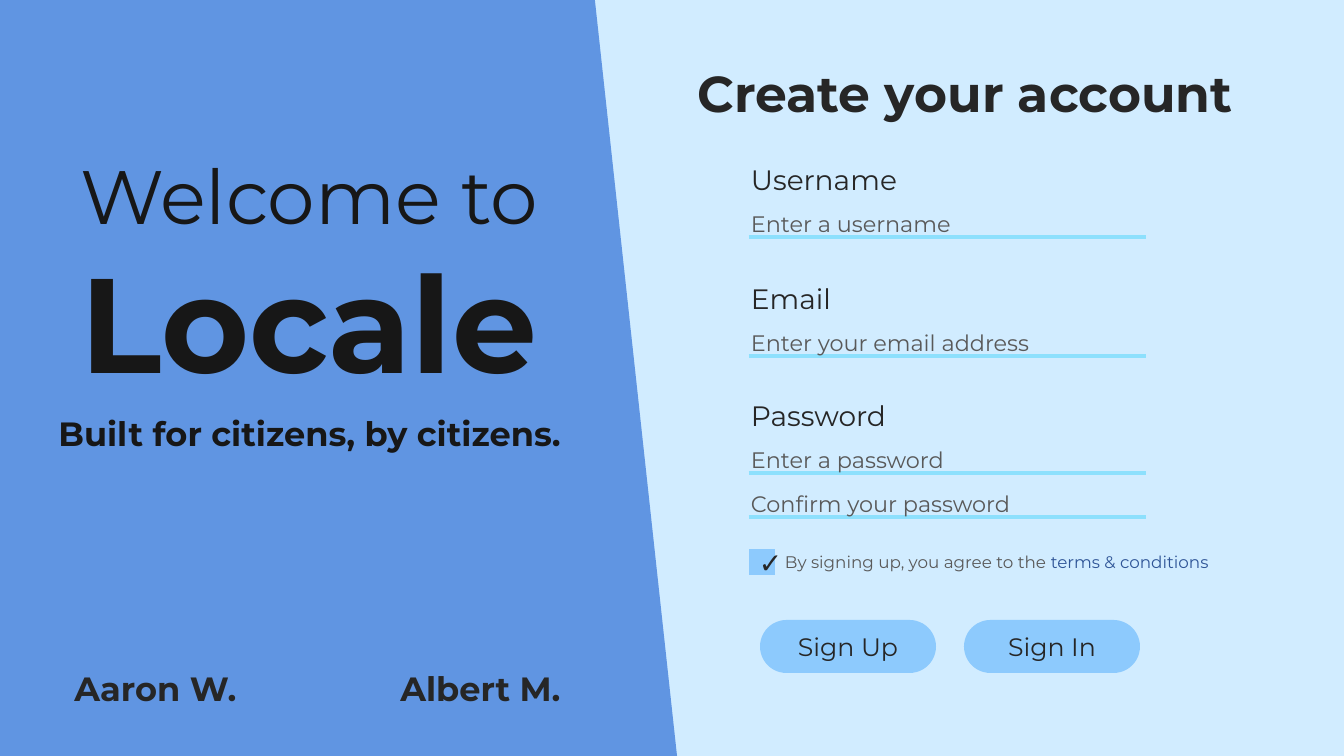
from pptx import Presentation
from pptx.dml.color import RGBColor as RGB
from pptx.enum.shapes import MSO_CONNECTOR as Conn, MSO_SHAPE as Kind
from pptx.enum.text import MSO_ANCHOR as Anchor, MSO_AUTO_SIZE as Auto, PP_ALIGN as Align
from pptx.oxml.ns import qn
from pptx.util import Pt
from lxml.etree import SubElement

PALE = RGB(0xD1, 0xEC, 0xFF)
BLUE = RGB(0x60, 0x95, 0xE2)
SKY = RGB(0x8D, 0xCA, 0xFD)
AQUA = RGB(0x8D, 0xE0, 0xFD)
BLACK = RGB(0x17, 0x17, 0x17)
DARK = RGB(0x26, 0x26, 0x26)
GRAY = RGB(0x59, 0x59, 0x59)
NAVY = RGB(0x2F, 0x55, 0x97)

SCALE = 914400 / 100.8


def px(*sizes):
    return [round(size * SCALE) for size in sizes]


class Page:
    """Holds the text style and the slide being built."""

    font = "Montserrat"

    def __init__(self, deck, back):
        self.slide = deck.slides.add_slide(deck.slide_layouts[6])
        fill = self.slide.background.fill
        fill.solid()
        fill.fore_color.rgb = back
        self.shapes = self.slide.shapes

    def letter(self, frame, runs, size, bold=False, align=Align.CENTER, font=None):
        """Fill the frame with one paragraph of (text, color) runs."""
        frame.word_wrap = True
        para = frame.paragraphs[0]
        para.alignment = align
        for text, color in runs:
            run = para.add_run()
            run.text = text
            run.font.name = font or self.font
            run.font.size = Pt(size)
            run.font.bold = bold
            run.font.color.rgb = color

    def text(self, box, runs, size, bold=False, align=Align.CENTER, anchor=Anchor.TOP):
        frame = self.shapes.add_textbox(*px(*box)).text_frame
        frame.auto_size = Auto.SHAPE_TO_FIT_TEXT
        frame.vertical_anchor = anchor
        self.letter(frame, runs, size, bold, align)

    def shape(self, kind, box, color):
        shape = self.shapes.add_shape(kind, *px(*box))
        shape.shadow.inherit = False
        shape.fill.solid()
        shape.fill.fore_color.rgb = color
        shape.line.fill.background()
        shape.text_frame.vertical_anchor = Anchor.MIDDLE
        return shape

    def rule(self, left, right, y):
        line = self.shapes.add_connector(Conn.STRAIGHT, *px(left, y, right, y))
        line.line.color.rgb = AQUA
        line.line.width = Pt(2.75)
        SubElement(line._element.spPr, qn("a:effectLst"))

    def entry(self, top, hint):
        """Add an underlined input with its hint."""
        self.rule(749, 1146, top + 32)
        self.text((741, top, 311, 37), [(hint, GRAY)], 16, align=Align.LEFT)

    def field(self, top, label, hint):
        self.text((741, top, 214, 44), [(label, DARK)], 20, align=Align.LEFT)
        self.entry(top + 47, hint)

    def button(self, left, label):
        pill = self.shape(Kind.ROUNDED_RECTANGLE, (left, 620, 176, 53), SKY)
        pill.adjustments[0] = 0.5
        self.letter(pill.text_frame, [(label, DARK)], 18)


def main():
    deck = Presentation()
    deck.slide_width, deck.slide_height = px(1344, 756)
    page = Page(deck, PALE)

    panel = page.shape(Kind.RECTANGLE, (-291, -66, 927, 938), BLUE)
    panel.rotation = 353.8
    page.text((37, 144, 544, 102), [("Welcome to", BLACK)], 54)
    page.text((37, 234, 544, 173), [("Locale", BLACK)], 96, bold=True)
    page.text((-14, 408, 647, 50), [("Built for citizens, by citizens.", BLACK)], 24, bold=True)
    for left, name in ((33, "Aaron W."), (358, "Albert M.")):
        page.text((left, 663, 245, 50), [(name, DARK)], 24, bold=True)

    page.text((630, 57, 670, 72), [("Create your account", DARK)], 36, bold=True)
    for top, label, hint in (
        (158, "Username", "Enter a username"),
        (277, "Email", "Enter your email address"),
        (394, "Password", "Enter a password"),
    ):
        page.field(top, label, hint)
    page.entry(485, "Confirm your password")

    check = page.shape(Kind.RECTANGLE, (749, 549, 26, 26), SKY)
    page.letter(check.text_frame, [("✓", DARK)], 20, font="Lato")
    terms = [("By signing up, you agree to the ", GRAY), ("terms & conditions", NAVY)]
    page.text((775, 547, 477, 30), terms, 12, align=Align.LEFT, anchor=Anchor.MIDDLE)

    for left, label in ((760, "Sign Up"), (964, "Sign In")):
        page.button(left, label)

    deck.save("out.pptx")


if __name__ == "__main__":
    main()
